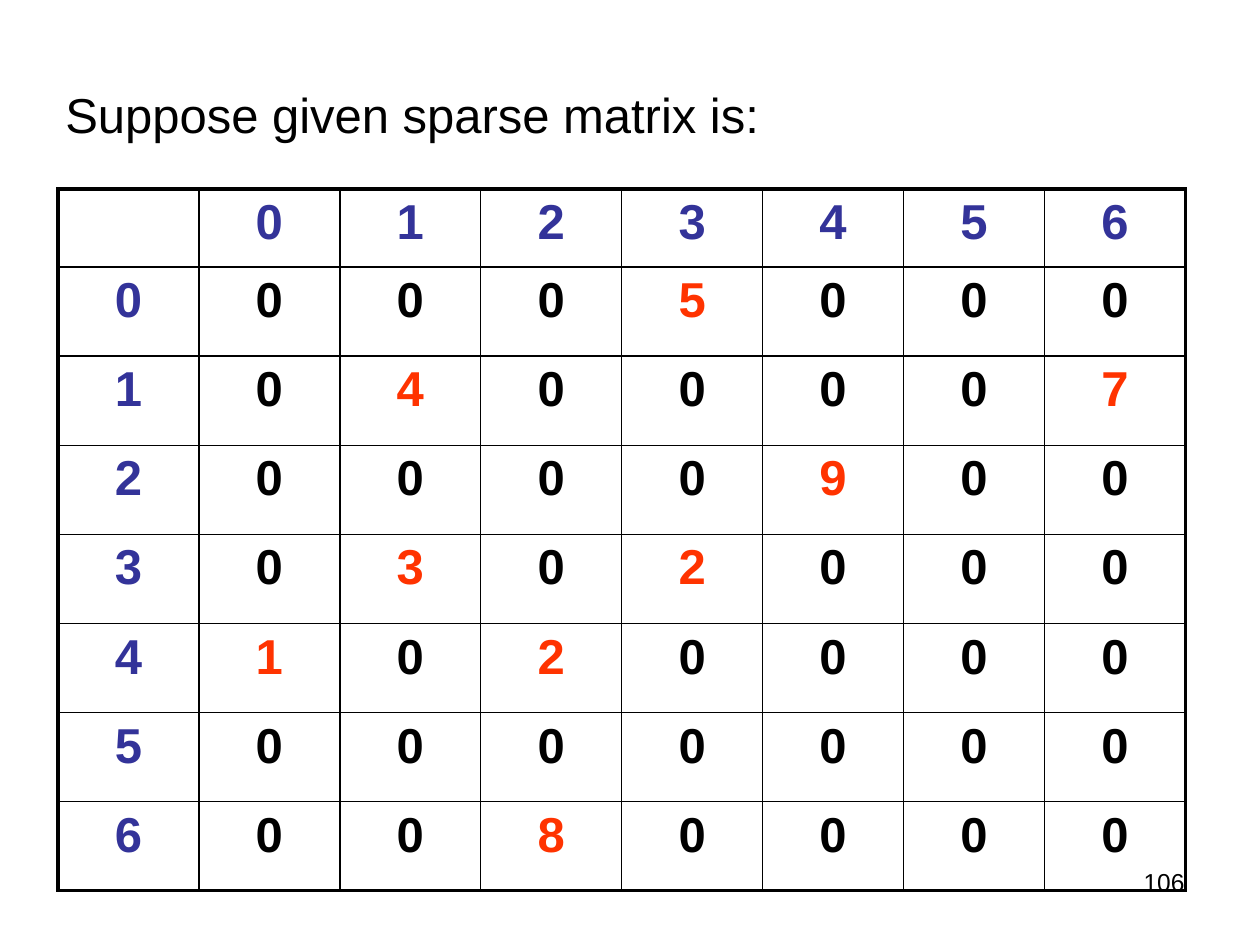
from dataclasses import dataclass

import pptx
import pptx.dml.color
import pptx.enum.text
import pptx.oxml
import pptx.oxml.ns
import pptx.util

Inches = pptx.util.Inches
Pt = pptx.util.Pt
ALIGN = pptx.enum.text.PP_ALIGN

FONT = "Arial"
COLORS = {"text": "000000", "index": "333399", "nonzero": "FF3300", "border": "000000"}
THIN, THICK = 1, 2.25

SIZE = 7
NONZERO = {
    (0, 3): 5, (1, 1): 4, (1, 6): 7, (2, 4): 9, (3, 1): 3,
    (3, 3): 2, (4, 0): 1, (4, 2): 2, (6, 2): 8,
}
TABLE_LEFT, TABLE_TOP, TABLE_WIDTH, TABLE_HEIGHT = 0.46, 1.5, 8.95, 5.57
HEADER_HEIGHT = 0.62


@dataclass
class Label:
    text: str
    left: float
    top: float
    width: float
    height: float
    size: float
    align: ALIGN
    top_inset: float = 0.05


LABELS_BELOW = [Label("106", 7.17, 6.83, 2.33, 0.52, 14, ALIGN.RIGHT)]
LABELS_ABOVE = [
    Label("Suppose given sparse matrix is:", 0.42, 0.58, 7.33, 0.57, 28, ALIGN.LEFT, 0.09)
]


def format_text(frame, size: float, color: str, align: ALIGN, bold: bool = False) -> None:
    paragraph = frame.paragraphs[0]
    paragraph.alignment = align
    for run in paragraph.runs:
        run.font.name = FONT
        run.font.size = Pt(size)
        run.font.bold = bold
        run.font.color.rgb = pptx.dml.color.RGBColor.from_string(COLORS[color])


def add_label(slide, label: Label) -> None:
    box = slide.shapes.add_textbox(
        Inches(label.left), Inches(label.top), Inches(label.width), Inches(label.height)
    )
    frame = box.text_frame
    frame.word_wrap = True
    frame.margin_top = Inches(label.top_inset)
    frame.text = label.text
    format_text(frame, label.size, "text", label.align)


def set_borders(cell, row: int, column: int) -> None:
    """Draw the cell's edges, thick along the outside of the table."""
    outer = {"L": column == 0, "R": column == SIZE, "T": row == 0, "B": row == SIZE}
    properties = cell._tc.get_or_add_tcPr()
    for position, (side, is_outer) in enumerate(outer.items()):
        width = Pt(THICK if is_outer else THIN)
        edge = pptx.oxml.parse_xml(
            f'<a:ln{side} {pptx.oxml.ns.nsdecls("a")} w="{width}"><a:solidFill>'
            f'<a:srgbClr val="{COLORS["border"]}"/></a:solidFill></a:ln{side}>'
        )
        properties.insert(position, edge)


def cell_content(row: int, column: int) -> tuple[str, str]:
    """Return the text and colour name; row 0 and column 0 hold the indices."""
    if row == 0 and column == 0:
        return "", "index"
    if row == 0 or column == 0:
        return str(row + column - 1), "index"
    value = NONZERO.get((row - 1, column - 1), 0)
    return str(value), "nonzero" if value else "text"


def add_matrix(slide) -> None:
    matrix = slide.shapes.add_table(
        SIZE + 1, SIZE + 1,
        Inches(TABLE_LEFT), Inches(TABLE_TOP), Inches(TABLE_WIDTH), Inches(TABLE_HEIGHT),
    ).table
    matrix.first_row = False
    matrix.horz_banding = False
    for column in matrix.columns:
        column.width = Inches(TABLE_WIDTH / (SIZE + 1))
    for index, row in enumerate(matrix.rows):
        row.height = Inches((TABLE_HEIGHT - HEADER_HEIGHT) / SIZE if index else HEADER_HEIGHT)
        for column, cell in enumerate(row.cells):
            text, color = cell_content(index, column)
            cell.text_frame.text = text
            format_text(cell.text_frame, 28, color, ALIGN.CENTER, bold=True)
            cell.fill.background()
            set_borders(cell, index, column)


def main() -> None:
    presentation = pptx.Presentation()
    presentation.slide_width = Inches(10)
    presentation.slide_height = Inches(7.5)
    slide = presentation.slides.add_slide(presentation.slide_layouts[6])
    for label in LABELS_BELOW:
        add_label(slide, label)
    add_matrix(slide)
    for label in LABELS_ABOVE:
        add_label(slide, label)
    presentation.save("out.pptx")


if __name__ == "__main__":
    main()
